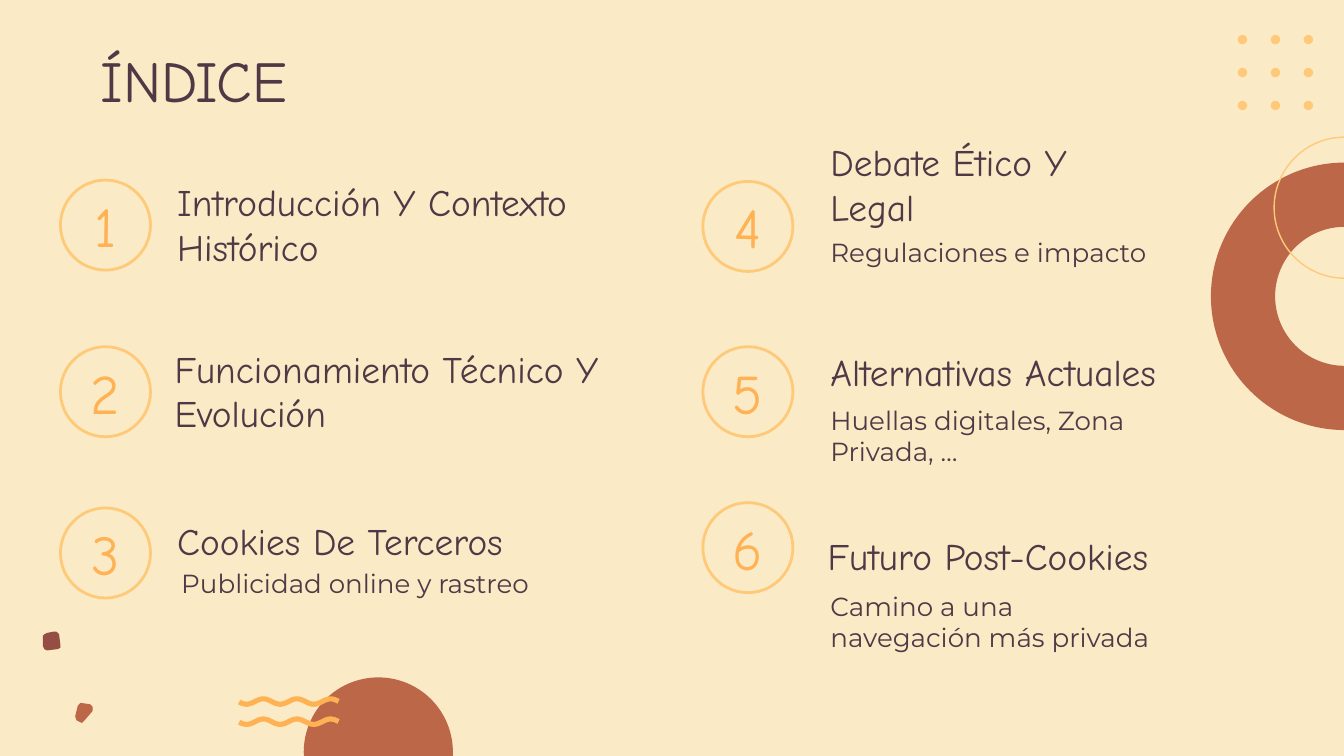
from dataclasses import dataclass
from math import cos, pi

from pptx import Presentation
from pptx.dml.color import RGBColor
from pptx.enum.shapes import MSO_SHAPE
from pptx.enum.text import MSO_ANCHOR, PP_ALIGN
from pptx.util import Inches, Pt

OVAL, DONUT = MSO_SHAPE.OVAL, MSO_SHAPE.DONUT
TOP, MIDDLE, BOTTOM = MSO_ANCHOR.TOP, MSO_ANCHOR.MIDDLE, MSO_ANCHOR.BOTTOM
LEFT, CENTER = PP_ALIGN.LEFT, PP_ALIGN.CENTER


@dataclass(frozen=True)
class Theme:
    cream: str = "FBEAC6"
    plum: str = "4F3945"
    gold: str = "FECA7A"
    amber: str = "FFB253"
    clay: str = "BC6748"
    wine: str = "944E44"
    head: str = "Comic Neue"
    body: str = "Montserrat"
    title: int = 31
    number: int = 30
    topic: int = 20
    note: int = 14


THEME = Theme()

STYLES = {
    "title": (THEME.head, THEME.title, THEME.plum, MIDDLE, LEFT),
    "number": (THEME.head, THEME.number, THEME.amber, MIDDLE, CENTER),
    "topic": (THEME.head, THEME.topic, THEME.plum, BOTTOM, LEFT),
    "note": (THEME.body, THEME.note, THEME.plum, TOP, LEFT),
}

TOPICS = [
    ("1", 0.45, 1.34, "Introducción Y Contexto Histórico", (1.22, 1.52, 3.91), "", None),
    ("2", 0.45, 2.58, "Funcionamiento Técnico Y Evolución", (1.2, 2.76, 3.75), "", None),
    ("3", 0.45, 3.78, "Cookies De Terceros", (1.22, 3.71, 3.62),
     "Publicidad online y rastreo", (1.25, 4.12, 3.51)),
    ("4", 5.23, 1.35, "Debate Ético Y Legal", (6.08, 1.22, 2.63),
     "Regulaciones e impacto", (6.08, 1.66, 2.63)),
    ("5", 5.23, 2.58, "Alternativas Actuales", (6.08, 2.45, 2.63),
     "Huellas digitales, Zona Privada, …", (6.08, 2.91, 2.63)),
    ("6", 5.23, 3.74, "Futuro Post-Cookies", (6.06, 3.82, 2.63),
     "Camino a una navegación más privada", (6.08, 4.29, 2.63)),
]

PEBBLES = [
    (THEME.clay, [(0.61, 5.38), (0.63, 5.36), (0.69, 5.29), (0.69, 5.26),
                  (0.67, 5.24), (0.6, 5.23), (0.58, 5.25), (0.56, 5.33),
                  (0.57, 5.36), (0.59, 5.37)]),
    (THEME.wine, [(0.43, 4.83), (0.45, 4.82), (0.45, 4.8), (0.44, 4.72),
                  (0.42, 4.7), (0.4, 4.7), (0.35, 4.71), (0.33, 4.72),
                  (0.32, 4.73), (0.32, 4.81), (0.33, 4.83), (0.35, 4.84)]),
]


def color(code):
    return RGBColor.from_string(code)


def apply(target, values):
    for name, value in values.items():
        setattr(target, name, value)


def paint(shape, fill=None, line=None, width=1.5):
    shape.shadow.inherit = False
    if fill:
        shape.fill.solid()
        shape.fill.fore_color.rgb = color(fill)
    else:
        shape.fill.background()
    if line:
        shape.line.color.rgb = color(line)
        shape.line.width = Pt(width)
    else:
        shape.line.fill.background()


def add_round(slide, x, y, size, kind=OVAL, **look):
    shape = slide.shapes.add_shape(kind, *map(Inches, (x, y, size, size)))
    paint(shape, **look)
    return shape


def add_path(slide, points, close, **look):
    spots = [(Inches(x), Inches(y)) for x, y in points]
    pen = slide.shapes.build_freeform(*spots[0])
    pen.add_line_segments(spots[1:], close=close)
    paint(pen.convert_to_shape(), **look)


def add_text(slide, text, box, style):
    face, size, ink, anchor, align = STYLES[style]
    frame = slide.shapes.add_textbox(*map(Inches, box)).text_frame
    sides = ("left", "right", "top", "bottom")
    apply(frame, {f"margin_{side}": Inches(0.1) for side in sides})
    apply(frame, {"word_wrap": True, "vertical_anchor": anchor})
    line = frame.paragraphs[0]
    line.alignment = align
    run = line.add_run()
    run.text = text
    apply(run.font, {"name": face, "size": Pt(size)})
    run.font.color.rgb = color(ink)


def add_wave(slide, mid):
    steps = [1.78 + 0.01 * i for i in range(75)]
    points = [(x, mid - 0.02 * cos(2 * pi * (x - 1.96) / 0.25)) for x in steps]
    add_path(slide, points, False, line=THEME.amber, width=2.75)


def add_decor(slide):
    for row in range(3):
        for col in range(3):
            add_round(slide, 9.21 + 0.245 * col, 0.26 + 0.245 * row, 0.07,
                      fill=THEME.gold)
    ring = add_round(slide, 9.01, 1.21, 1.99, DONUT, fill=THEME.clay)
    ring.adjustments[0] = 0.24
    add_round(slide, 9.48, 1.02, 1.05, line=THEME.gold, width=0.75)
    add_round(slide, 2.26, 5.04, 1.11, fill=THEME.clay)
    for fill, points in PEBBLES:
        add_path(slide, points, True, fill=fill)
    for mid in (5.22, 5.37):
        add_wave(slide, mid)


def add_topic(slide, number, x, y, topic, spot, note, place):
    add_round(slide, x, y, 0.67, line=THEME.gold)
    add_text(slide, number, (x + 0.06, y + 0.01, 0.55, 0.65), "number")
    add_text(slide, topic, (*spot, 0.58), "topic")
    if note:
        add_text(slide, note, (*place, 0.67), "note")


def main():
    deck = Presentation()
    wide = Inches(10)
    apply(deck, {"slide_width": wide, "slide_height": wide * 9 // 16})
    slide = deck.slides.add_slide(deck.slide_layouts[6])
    back = slide.background.fill
    back.solid()
    back.fore_color.rgb = color(THEME.cream)
    add_decor(slide)
    add_text(slide, "ÍNDICE", (0.65, 0.28, 8.43, 0.62), "title")
    for topic in TOPICS:
        add_topic(slide, *topic)
    deck.save("out.pptx")


if __name__ == "__main__":
    main()
